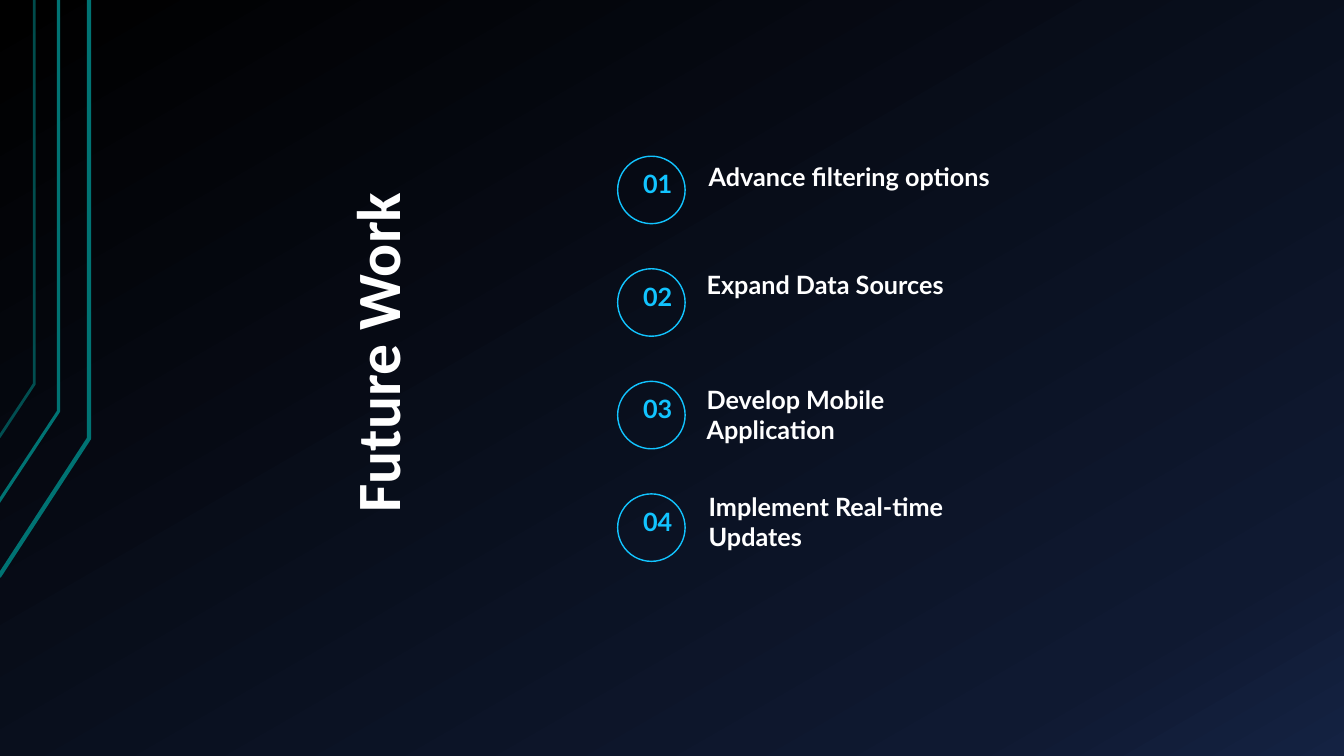
from copy import deepcopy
from dataclasses import dataclass

from lxml.etree import SubElement
from pptx import Presentation
from pptx.dml.color import RGBColor
from pptx.enum.shapes import MSO_SHAPE
from pptx.enum.text import MSO_ANCHOR, MSO_AUTO_SIZE, PP_ALIGN
from pptx.oxml.ns import qn
from pptx.util import Pt


@dataclass(frozen=True)
class Theme:
    white: str = "FFFFFF"
    accent: str = "12C4FF"
    teal: str = "007373"
    backdrop: tuple = ((0, "000000"), (0.85, "0F1931"), (1, "142242"))
    title_font: str = "Calibri"
    body_font: str = "Lato"
    title_size: float = 44
    body_size: float = 18


class Deck:
    """Builds slide elements in one theme, with all lengths in points."""

    def __init__(self, prs, theme):
        self.theme = theme
        self.s = prs.slides.add_slide(prs.slide_layouts[5])

    def background(self, angle):
        fill = self.s.background.fill
        fill.gradient()
        stops = next(self.s.element.iter(qn("a:gsLst")))
        stops.insert(1, deepcopy(stops[0]))
        for stop, (position, color) in zip(fill.gradient_stops, self.theme.backdrop):
            stop.position = position
            stop.color.rgb = RGBColor.from_string(color)
        fill.gradient_angle = angle

    def place(self, sp, box):
        sp.left, sp.top, sp.width, sp.height = (Pt(v) for v in box)

    def outline(self, sp, color, width):
        sp.shadow.inherit = False
        sp.fill.background()
        sp.line.color.rgb = RGBColor.from_string(color)
        sp.line.width = Pt(width)

    def polyline(self, points, width, opacity):
        start, *rest = [(Pt(x), Pt(y)) for x, y in points]
        builder = self.s.shapes.build_freeform(*start)
        builder.add_line_segments(rest, close=False)
        sp = builder.convert_to_shape()
        self.outline(sp, self.theme.teal, width)
        if opacity < 100:
            color = next(sp.element.iter(qn("a:srgbClr")))
            SubElement(color, qn("a:alpha"), val=str(opacity * 1000))

    def set_text(self, p, text, font, size, color):
        p.text = text
        p.font.name = font
        p.font.size = Pt(size)
        p.font.bold = True
        p.font.color.rgb = RGBColor.from_string(color)

    def title(self, text, box, rotation):
        sp = self.s.shapes.title
        self.place(sp, box)
        sp.rotation = rotation
        tf = sp.text_frame
        tf.auto_size = MSO_AUTO_SIZE.NONE
        tf.vertical_anchor = MSO_ANCHOR.TOP
        p = tf.paragraphs[0]
        p.alignment = PP_ALIGN.LEFT
        self.set_text(p, text, self.theme.title_font, self.theme.title_size, self.theme.white)

    def ring(self, left, top, size):
        sp = self.s.shapes.add_shape(
            MSO_SHAPE.ROUNDED_RECTANGLE, Pt(left), Pt(top), Pt(size), Pt(size))
        sp.adjustments[0] = 0.5
        self.outline(sp, self.theme.accent, 1)

    def text(self, text, box, color, align=PP_ALIGN.LEFT, anchor=MSO_ANCHOR.TOP):
        tf = self.s.shapes.add_textbox(*(Pt(v) for v in box)).text_frame
        tf.word_wrap = True
        tf.vertical_anchor = anchor
        tf.margin_left = tf.margin_top = tf.margin_right = tf.margin_bottom = 0
        p = tf.paragraphs[0]
        p.alignment = align
        self.set_text(p, text, self.theme.body_font, self.theme.body_size, color)


def main():
    prs = Presentation()
    prs.slide_width, prs.slide_height = Pt(960), Pt(540)
    theme = Theme()
    deck = Deck(prs, theme)
    deck.background(300)

    circuit_lines = [
        (-0.7, 411.8, 63.6, 313.2, 3, 100),
        (-1.4, 359.3, 41.8, 293.8, 2.25, 100),
        (-0.7, 312.5, 24.5, 274.3, 2, 65),
    ]
    for left, bottom, right, bend, width, opacity in circuit_lines:
        deck.polyline([(left, bottom), (right, bend), (right, 0)], width, opacity)

    deck.title("Future Work", (87.8, 162, 362.2, 60.5), 270)

    items = [
        ("Advance filtering options", 506.2, 115.2, 213.8, 31.7),
        ("Expand Data Sources", 504.7, 192.2, 181.4, 31.7),
        ("Develop Mobile Application", 504.7, 274.3, 181.4, 31.7),
        ("Implement Real-time Updates", 506.2, 350.6, 181.4, 51.8),
    ]
    for i, (label, *box) in enumerate(items):
        top = 111.6 + i * 80.4
        deck.ring(441.2, top, 48.2)
        deck.text(f"{i + 1:02}", (450, top - 1, 39.6, 41), theme.accent,
                  PP_ALIGN.CENTER, MSO_ANCHOR.MIDDLE)
        deck.text(label, box, theme.white)

    prs.save("out.pptx")


if __name__ == "__main__":
    main()
